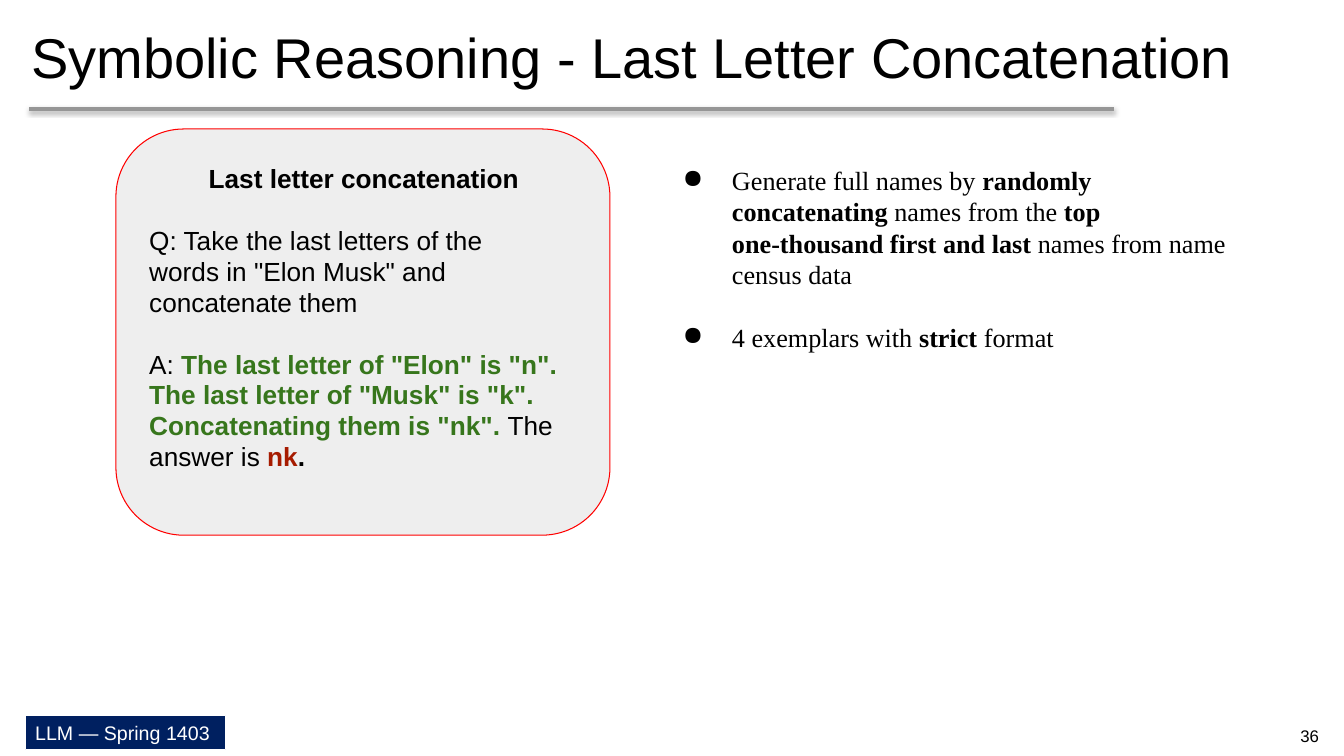
from lxml import etree
from pptx import Presentation
from pptx.dml.color import RGBColor
from pptx.enum.shapes import MSO_CONNECTOR, MSO_SHAPE
from pptx.enum.text import MSO_ANCHOR, PP_ALIGN
from pptx.oxml.ns import qn
from pptx.util import Inches, Pt

LINE, RECT, ROUND = MSO_CONNECTOR.STRAIGHT, MSO_SHAPE.RECTANGLE, MSO_SHAPE.ROUNDED_RECTANGLE
MIDDLE, TOP = MSO_ANCHOR.MIDDLE, MSO_ANCHOR.TOP
CENTER = PP_ALIGN.CENTER
SANS, SERIF = "Arial", "Times New Roman"
BLACK, GREEN, RED = "000000", "37761C", "A61B00"
BODY = 18.7

# A run is (text, bold, colour)
TITLE = [dict(runs=[("Symbolic Reasoning - Last Letter Concatenation", False, BLACK)],
              left=0.02)]
FOOTER = [dict(runs=[("LLM — Spring 1403", False, "FFFFFF")])]
NUMBER = [dict(runs=[("36", False, BLACK)], left=0.06, align=CENTER)]
PROMPT = [
    dict(runs=[("Last letter concatenation", True, BLACK)], left=0.61),
    dict(runs=[('Q: Take the last letters of the words in "Elon Musk" '
                'and concatenate them', False, BLACK)],
         left=0.02, before=22.6, pitch=22),
    dict(runs=[("A: ", False, BLACK),
               ('The last letter of "Elon" is "n". The last letter of "Musk" is "k".',
                True, GREEN)],
         left=0.02, before=22, pitch=22),
    dict(runs=[('Concatenating them is "nk". ', True, GREEN),
               ("The answer is ", False, BLACK),
               ("nk", True, RED), (".", True, BLACK)],
         left=0.02, pitch=22),
]
NOTES = [
    dict(runs=[("Generate full names by ", False, BLACK),
               ("randomly concatenating ", True, BLACK),
               ("names from the ", False, BLACK), ("top", True, BLACK)],
         left=0.51, hang=0.49, bullet="●"),
    dict(runs=[("one-thousand first and last ", True, BLACK),
               ("names from name census data", False, BLACK)],
         left=0.51),
    dict(runs=[("4 exemplars with ", False, BLACK), ("strict ", True, BLACK),
               ("format", False, BLACK)],
         left=0.51, hang=0.49, bullet="●", before=22.5),
]


def rgb(code):
    return RGBColor.from_string(code)


def write(shape, paras, size, font, inset=(0, 0.02, 0, 0), anchor=TOP):
    """Fill a shape with paragraphs; inset is left, top, right, bottom."""
    frame = shape.text_frame
    frame.word_wrap = True
    frame.vertical_anchor = anchor
    (frame.margin_left, frame.margin_top,
     frame.margin_right, frame.margin_bottom) = map(Inches, inset)
    for i, item in enumerate(paras):
        para = frame.paragraphs[0] if i == 0 else frame.add_paragraph()
        props = para._p.get_or_add_pPr()
        props.set("marL", str(Inches(item.get("left", 0))))
        props.set("indent", str(-Inches(item.get("hang", 0))))
        if "bullet" in item:
            etree.SubElement(props, qn("a:buChar"), char=item["bullet"])
        para.alignment = item.get("align", PP_ALIGN.LEFT)
        if "before" in item:
            para.space_before = Pt(item["before"])
        if "pitch" in item:
            para.line_spacing = Pt(item["pitch"])
        para.font.size = Pt(size)
        para.font.name = font
        for text, bold, colour in item["runs"]:
            run = para.add_run()
            run.text = text
            run.font.bold = bold
            run.font.color.rgb = rgb(colour)


def add_box(slide, kind, place, fill, edge):
    box = slide.shapes.add_shape(kind, *map(Inches, place))
    box.shadow.inherit = False
    box.fill.solid()
    box.fill.fore_color.rgb = rgb(fill)
    box.line.color.rgb = rgb(edge)
    box.line.width = Pt(0.75)
    return box


def add_text(slide, place, *args, **opts):
    write(slide.shapes.add_textbox(*map(Inches, place)), *args, **opts)


def add_rule(slide, left, right, y):
    """Draw the grey title rule with its soft shadow below."""
    rule = slide.shapes.add_connector(LINE, Inches(left), Inches(y), Inches(right), Inches(y))
    rule.line.color.rgb = rgb("969696")
    rule.line.width = Pt(3)
    effects = etree.SubElement(rule._element.spPr, qn("a:effectLst"))
    shade = etree.SubElement(effects, qn("a:outerShdw"), blurRad=str(Pt(3.1)),
                             dist=str(Pt(1.8)), dir="5400000", rotWithShape="0")
    tint = etree.SubElement(shade, qn("a:srgbClr"), val=BLACK)
    etree.SubElement(tint, qn("a:alpha"), val="35000")


def main():
    deck = Presentation()
    deck.slide_width, deck.slide_height = Inches(13.33), Inches(7.5)
    slide = deck.slides.add_slide(deck.slide_layouts[6])

    footer = add_box(slide, RECT, (0.25, 7.1, 1.99, 0.34), "002060", "FFFFFF")
    write(footer, FOOTER, 14, SANS, inset=(0.1, 0.05, 0.05, 0.05))
    add_rule(slide, 0.29, 11.05, 1.08)
    add_box(slide, ROUND, (1.15, 1.28, 4.9, 4.03), "EEEEEE", "FF0000")

    add_text(slide, (1.46, 1.59, 4.09, 3.15), PROMPT, BODY, SANS)
    add_text(slide, (0.29, 0.02, 12.75, 1.06), TITLE, 40, SANS, anchor=MIDDLE)
    add_text(slide, (12.59, 7.1, 0.74, 0.4), NUMBER, 12, SANS,
             inset=(0, 0, 0, 0), anchor=MIDDLE)
    add_text(slide, (6.75, 1.61, 5.45, 1.92), NOTES, BODY, SERIF)
    deck.save("out.pptx")


if __name__ == "__main__":
    main()
